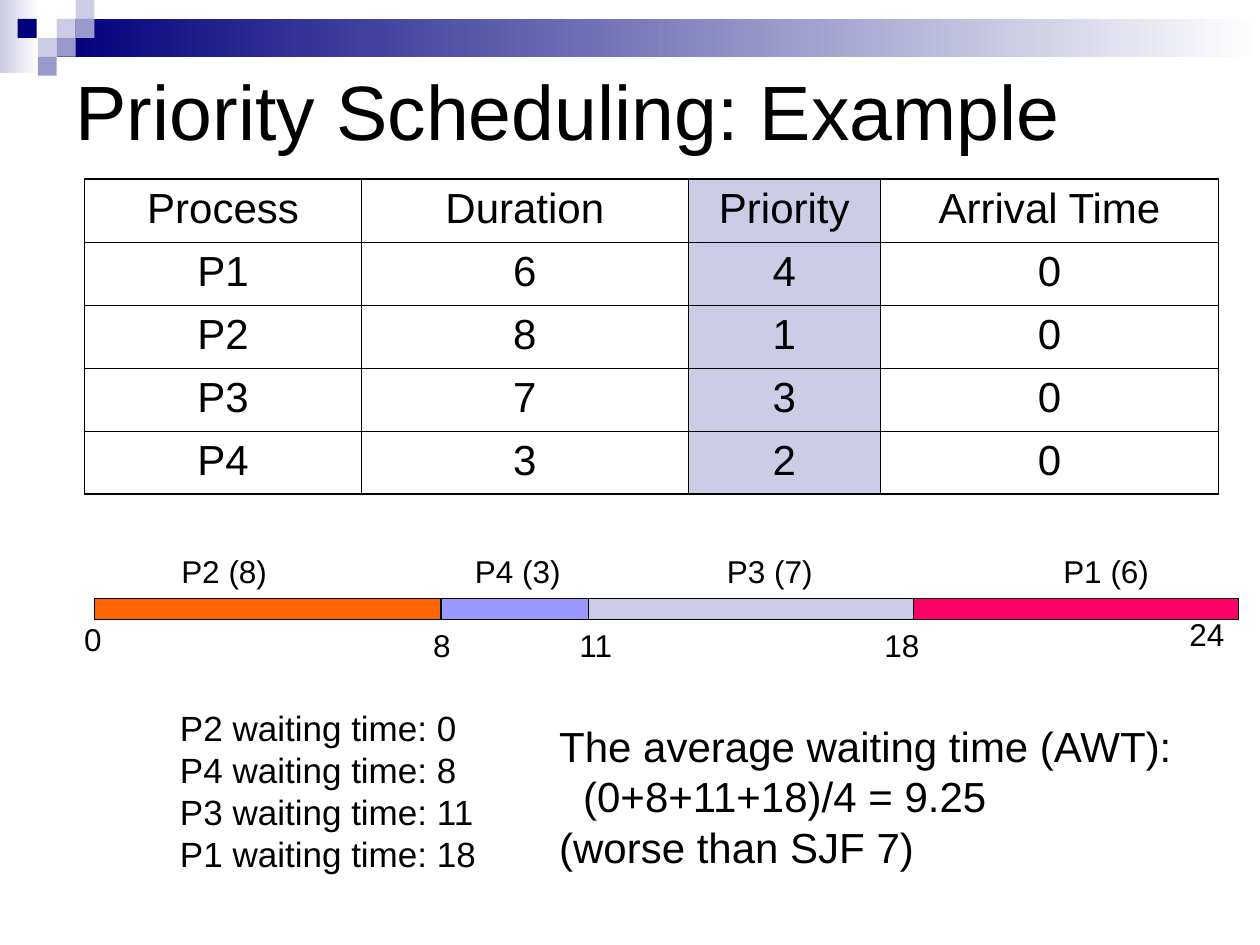
"""Build the slide with the priority scheduling example."""
import dataclasses

import pptx
import pptx.dml.color
import pptx.enum.dml
import pptx.enum.shapes
import pptx.enum.text
import pptx.oxml
import pptx.oxml.ns
import pptx.util

Inches = pptx.util.Inches
Pt = pptx.util.Pt
RGB = pptx.dml.color.RGBColor.from_string
ALIGN = pptx.enum.text.PP_ALIGN
ANCHOR = pptx.enum.text.MSO_ANCHOR


@dataclasses.dataclass(frozen=True)
class Theme:
    font: str = "Arial"
    ink: str = "000000"
    paper: str = "FFFFFF"
    navy: str = "00007D"
    steel: str = "9999CC"
    lavender: str = "CCCCE6"
    periwinkle: str = "9999FF"
    orange: str = "FF6600"
    pink: str = "FF0066"
    title: int = 44
    body: int = 24
    waiting: int = 20
    label: int = 18
    outer_border: float = 1.08
    inner_border: float = 0.45
    bar_border: float = 0.75


THEME = Theme()

PROCESSES = [
    ("Process", "Duration", "Priority", "Arrival Time"),
    ("P1", "6", "4", "0"),
    ("P2", "8", "1", "0"),
    ("P3", "7", "3", "0"),
    ("P4", "3", "2", "0"),
]
COLUMN_WIDTHS = (2.2, 2.59, 1.53, 2.68)
PRIORITY_COLUMN = 2

BAR_TOP, BAR_HEIGHT = 4.75, 0.17
BURSTS = [
    ("P2 (8)", 0.75, 2.75, THEME.orange, 1.34),
    ("P4 (3)", 3.5, 1.17, THEME.periwinkle, 3.67),
    ("P3 (7)", 4.67, 2.58, THEME.lavender, 5.67),
    ("P1 (6)", 7.25, 2.58, THEME.pink, 8.34),
]
TIMES = [("0", 0.57, 4.87), ("8", 3.34, 4.92), ("11", 4.5, 4.92),
         ("18", 6.92, 4.92), ("24", 9.34, 4.83)]

TILE = 0.15
TILES = [(0.45, 0.15, THEME.lavender), (0.6, 0, THEME.lavender),
         (0.6, 0.15, THEME.steel), (0.3, 0.3, THEME.lavender),
         (0.14, 0.15, THEME.navy), (0.45, 0.3, THEME.steel),
         (0.3, 0.45, THEME.steel)]


def write(frame, *lines, size, align=ALIGN.LEFT, before=0, hanging=0):
    """Fill a text frame with one paragraph per line."""
    for index, line in enumerate(lines):
        paragraph = frame.add_paragraph() if index else frame.paragraphs[0]
        paragraph.text = line
        paragraph.alignment = align
        paragraph.space_before = Pt(before)
        if hanging and "\v" in line:
            properties = paragraph._p.get_or_add_pPr()
            properties.set("marL", str(Inches(hanging)))
            properties.set("indent", str(-Inches(hanging)))
        for run in paragraph.runs:
            run.font.name = THEME.font
            run.font.size = Pt(size)
            run.font.color.rgb = RGB(THEME.ink)


def add_text(slide, left, top, width, height, *lines, **text_format):
    """Add a text box that does not wrap."""
    box = slide.shapes.add_textbox(
        Inches(left), Inches(top), Inches(width), Inches(height))
    box.text_frame.word_wrap = False
    write(box.text_frame, *lines, **text_format)


def add_block(slide, left, top, width, height, color, border=0, fade=False):
    """Add a rectangle, solid or fading to the paper colour."""
    block = slide.shapes.add_shape(
        pptx.enum.shapes.MSO_SHAPE.RECTANGLE,
        Inches(left), Inches(top), Inches(width), Inches(height))
    block.shadow.inherit = False
    if fade:
        block.fill.gradient()
        block.fill.gradient_angle = 0
        for stop, tone in zip(block.fill.gradient_stops, (color, THEME.paper)):
            stop.color.rgb = RGB(tone)
    else:
        block.fill.solid()
        block.fill.fore_color.rgb = RGB(color)
    if border:
        block.line.color.rgb = RGB(THEME.ink)
        block.line.width = Pt(border)
    else:
        block.line.fill.background()
    return block


def add_banner(slide):
    """Add the faded bands and the tiles at the top."""
    add_block(slide, 0, 0, 0.31, 0.58, THEME.lavender, fade=True)
    add_block(slide, 0.45, 0.15, 9.55, 0.3, THEME.navy, fade=True)
    for left, top, color in TILES:
        add_block(slide, left, top, TILE, TILE, color)


def set_title(slide, text):
    """Place and format the title placeholder."""
    title = slide.shapes.title
    title.left, title.top = Inches(0.5), Inches(0.33)
    title.width, title.height = Inches(9), Inches(1.08)
    title.text_frame.vertical_anchor = ANCHOR.MIDDLE
    write(title.text_frame, text, size=THEME.title)


def set_borders(cell, outer_sides):
    """Draw the four cell borders, thicker on the outer sides."""
    properties = cell._tc.get_or_add_tcPr()
    for index, side in enumerate("LRTB"):
        width = THEME.outer_border if side in outer_sides else THEME.inner_border
        properties.insert(index, pptx.oxml.parse_xml(
            f'<a:ln{side} {pptx.oxml.ns.nsdecls("a")} w="{Pt(width)}">'
            f'<a:solidFill><a:srgbClr val="{THEME.ink}"/></a:solidFill>'
            f'</a:ln{side}>'))


def add_process_table(slide):
    """Add the process table with its priority column highlighted."""
    row_count, column_count = len(PROCESSES), len(COLUMN_WIDTHS)
    table = slide.shapes.add_table(
        row_count, column_count,
        Inches(0.67), Inches(1.42), Inches(9), Inches(2.5)).table
    table.first_row = table.horz_banding = False
    for column, width in zip(table.columns, COLUMN_WIDTHS):
        column.width = Inches(width)
    for r, values in enumerate(PROCESSES):
        for c, value in enumerate(values):
            cell = table.cell(r, c)
            write(cell.text_frame, value, size=THEME.body,
                  align=ALIGN.CENTER, before=6)
            if c == PRIORITY_COLUMN:
                cell.fill.solid()
                cell.fill.fore_color.rgb = RGB(THEME.lavender)
            else:
                cell.fill.background()
            edges = {"L": c == 0, "R": c == column_count - 1,
                     "T": r == 0, "B": r == row_count - 1}
            set_borders(cell, [side for side, outer in edges.items() if outer])


def add_time_axis(slide, first_bar):
    """Add the dashed time axis behind the bars."""
    middle = Inches(BAR_TOP + BAR_HEIGHT / 2)
    axis = slide.shapes.add_connector(
        pptx.enum.shapes.MSO_CONNECTOR.STRAIGHT,
        Inches(0.75), middle, Inches(9.75), middle)
    axis.begin_connect(first_bar, 1)
    axis.line.color.rgb = RGB(THEME.ink)
    axis.line.width = Pt(THEME.bar_border)
    axis.line.dash_style = pptx.enum.dml.MSO_LINE.DASH
    axis._element.spPr.append(pptx.oxml.parse_xml(
        f'<a:effectLst {pptx.oxml.ns.nsdecls("a")}/>'))
    first_bar._element.addprevious(axis._element)


def add_timeline(slide):
    """Add the bars of the schedule with their names and times."""
    bars = [add_block(slide, left, BAR_TOP, width, BAR_HEIGHT, color,
                      border=THEME.bar_border)
            for _, left, width, color, _ in BURSTS]
    add_time_axis(slide, bars[0])
    for name, _, _, _, name_left in BURSTS:
        add_text(slide, name_left, 4.33, 0.88, 0.4, name, size=THEME.label)
    for time, left, top in TIMES:
        add_text(slide, left, top, 0.2 + 0.14 * len(time), 0.4, time,
                 size=THEME.label)


def main():
    """Build and save the slide."""
    deck = pptx.Presentation()
    deck.slide_width, deck.slide_height = Inches(10), Inches(7.5)
    slide = deck.slides.add_slide(deck.slide_layouts[5])
    add_banner(slide)
    set_title(slide, "Priority Scheduling: Example")
    add_process_table(slide)
    add_timeline(slide)
    add_text(slide, 1.33, 5.56, 2.55, 1.44,
             "P2 waiting time: 0", "P4 waiting time: 8",
             "P3 waiting time: 11", "P1 waiting time: 18", size=THEME.waiting)
    add_text(slide, 4.34, 5.67, 5.16, 1.3,
             "The average waiting time (AWT):\v(0+8+11+18)/4 = 9.25",
             "(worse than SJF 7)", size=THEME.body, hanging=0.19)
    deck.save("out.pptx")


if __name__ == "__main__":
    main()
